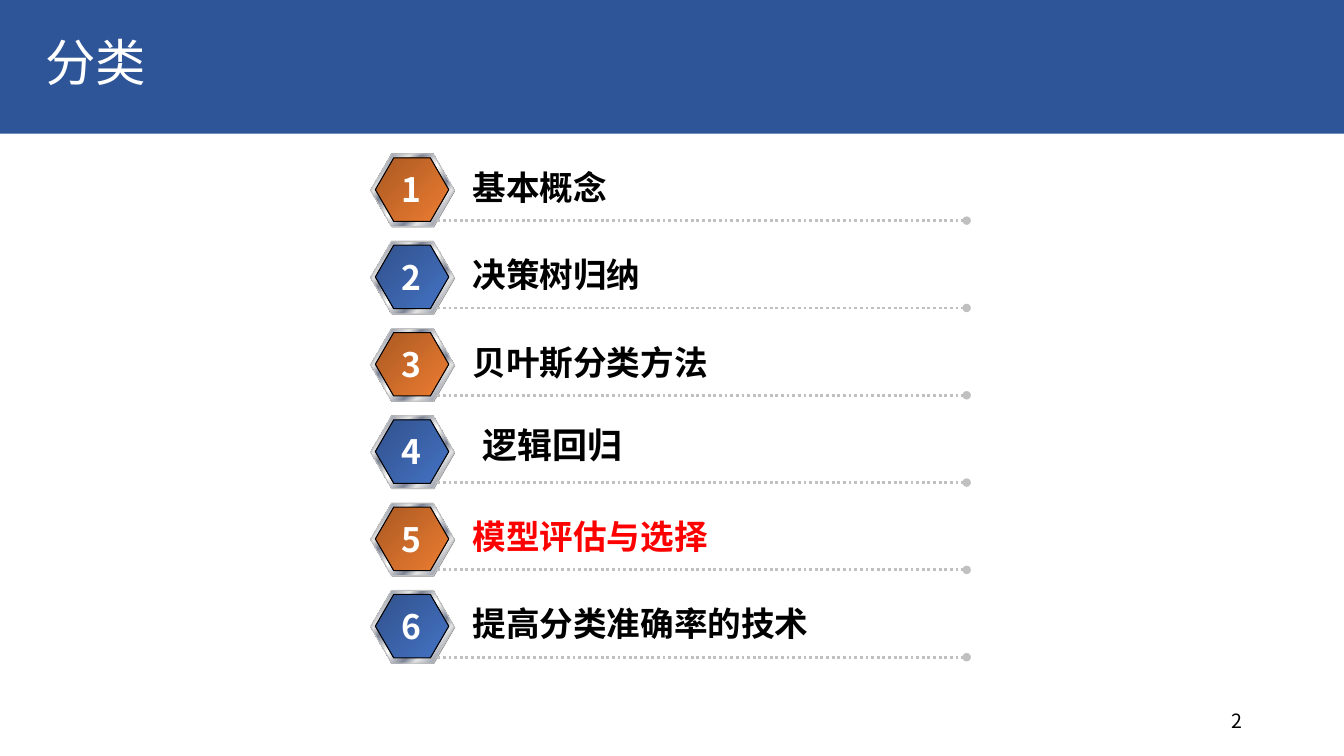
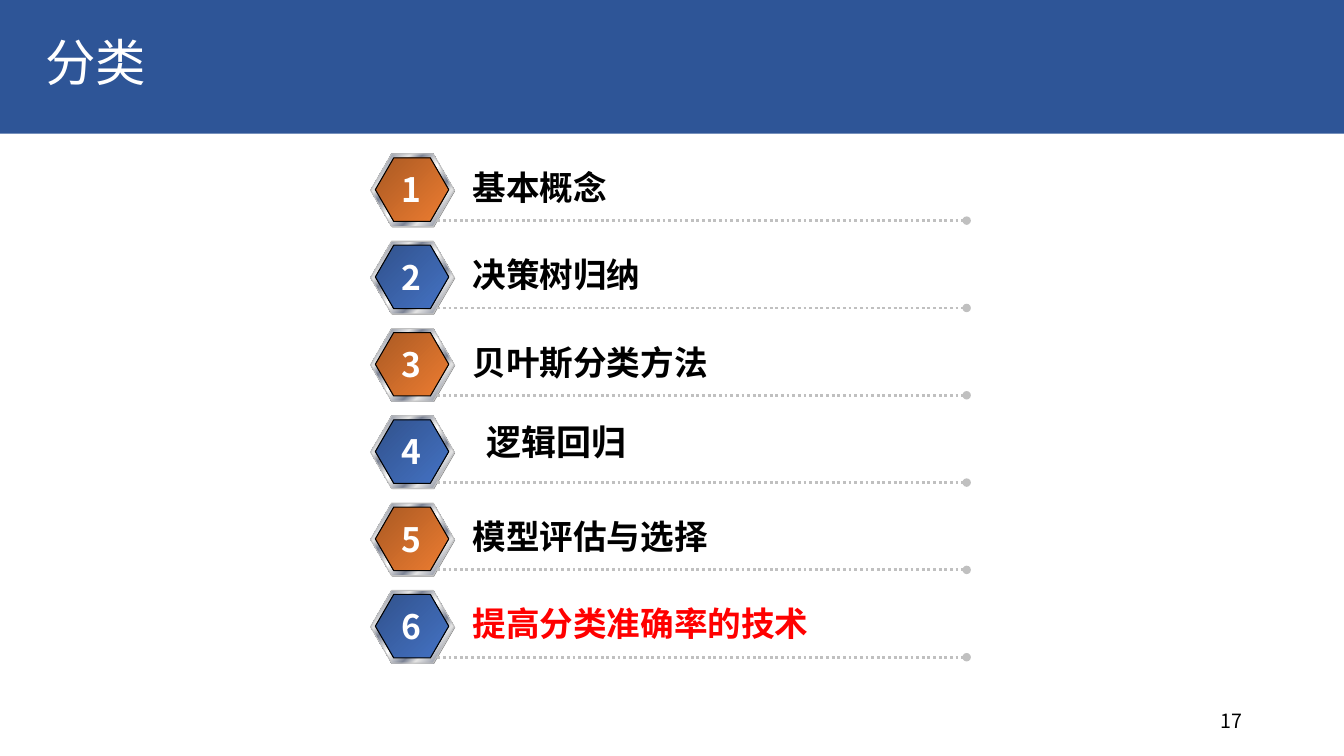
from lxml import etree
from pptx import Presentation
from pptx import util as u
from pptx.dml.color import RGBColor
from pptx.enum import dml, shapes, text
from pptx.oxml import ns

NAVY = RGBColor(0x2E, 0x55, 0x97)
WHITE = RGBColor(0xFF, 0xFF, 0xFF)
BLACK = RGBColor(0, 0, 0)
RED = RGBColor(0xFF, 0, 0)
GRAY = RGBColor(0x80, 0x80, 0x80)
SILVER = RGBColor(0xC0, 0xC0, 0xC0)
PALE = RGBColor(0xE6, 0xE6, 0xE6)
STEEL = RGBColor(0x7D, 0x84, 0x96)
RUST = RGBColor(0xAA, 0x59, 0x23)
ORANGE = RGBColor(0xED, 0x7D, 0x31)
DEEP = RGBColor(0x31, 0x52, 0x8C)
BLUE = RGBColor(0x44, 0x72, 0xC4)

METAL = [(0, PALE), (8, STEEL), (26, PALE), (34, STEEL), (46, PALE), (50, WHITE),
         (54, PALE), (66, STEEL), (74, PALE), (92, STEEL), (100, PALE)]
CORES = [[(0, RUST), (100, ORANGE)], [(0, DEEP), (100, BLUE)]]

SANS = "Noto Sans CJK SC"
TITLE = "分类"
TOPICS = ["基本概念", "决策树归纳", "贝叶斯分类方法", "逻辑回归",
          "模型评估与选择", "提高分类准确率的技术"]
LOOSE = 4
LEFT, TOP, PITCH = 9.34, 3.88, 2.2
PAGES = [("2", 5, (2.57, 0.08)), ("17", 6, (2.67, -0.02))]


def put_text(home, box, words, size, color, face=SANS, bold=False,
             align=text.PP_ALIGN.LEFT, anchor=text.MSO_ANCHOR.TOP, wrap=False):
    frame = home.add_textbox(*map(u.Cm, box)).text_frame
    frame.word_wrap = wrap
    frame.vertical_anchor = anchor
    if not wrap:
        frame.auto_size = text.MSO_AUTO_SIZE.SHAPE_TO_FIT_TEXT
    para = frame.paragraphs[0]
    para.text = words
    para.alignment = align
    font = para.font
    font.name, font.size, font.bold = face, u.Pt(size), bold
    font.color.rgb = color
    return para


def put_shape(home, kind, box, fill, edge=None):
    shape = home.add_shape(kind, *map(u.Cm, box))
    shape.shadow.inherit = False
    if isinstance(fill, RGBColor):
        shape.fill.solid()
        shape.fill.fore_color.rgb = fill
    else:
        blend(shape, fill)
    if edge is None:
        shape.line.fill.background()
    else:
        shape.line.color.rgb = edge
        shape.line.width = u.Pt(0.75)
    return shape


def blend(shape, stops):
    shape.fill.gradient()
    grad = shape.fill._xPr.find(ns.qn("a:gradFill"))
    for child in list(grad):
        grad.remove(child)
    items = etree.SubElement(grad, ns.qn("a:gsLst"))
    for place, color in stops:
        stop = etree.SubElement(items, ns.qn("a:gs"), pos=str(place * 1000))
        etree.SubElement(stop, ns.qn("a:srgbClr"), val=str(color))
    etree.SubElement(grad, ns.qn("a:lin"), ang="2700000", scaled="0")


def put_badge(home, left, top, number):
    plates = [((left + 0.02, top + 0.02, 2.11, 1.83), GRAY, None),
              ((left, top, 2.11, 1.83), METAL, SILVER),
              ((left + 0.12, top + 0.1, 1.85, 1.6), CORES[(number - 1) % 2], BLACK)]
    for box, fill, edge in plates:
        plate = put_shape(home, shapes.MSO_SHAPE.HEXAGON, box, fill, edge)
        plate.adjustments[0] = 0.29


def put_rule(home, left, top, width):
    rule = home.add_connector(shapes.MSO_CONNECTOR.STRAIGHT, u.Cm(left), u.Cm(top),
                              u.Cm(left + width), u.Cm(top))
    rule.line.color.rgb = SILVER
    rule.line.width = u.Pt(2)
    rule.line.dash_style = dml.MSO_LINE.ROUND_DOT
    etree.SubElement(rule.line._get_or_add_ln(), ns.qn("a:tailEnd"), type="oval")
    etree.SubElement(rule._element.spPr, ns.qn("a:effectLst"))


def put_row(slide, left, top, number, topic, color, shift):
    home = slide.shapes.add_group_shape().shapes
    put_badge(home, left, top, number)
    put_rule(home, left + 1.68, top + 1.68, 13.34)
    put_text(home, (left + 0.52, top + 0.26, 0.94, 1.3), str(number), 24, WHITE,
             bold=True, align=text.PP_ALIGN.CENTER)
    if number == LOOSE:
        right, down = shift
        put_text(slide.shapes, (left + right, top + down, 4.06, 1.32), topic, 25, color,
                 face="Times New Roman", bold=True, align=text.PP_ALIGN.JUSTIFY)
    else:
        width = 0.51 + 0.85 * len(topic)
        put_text(home, (left + 2.32, top + 0.2, width, 1.3), topic, 24, color, bold=True)


def put_frame(slide, page):
    home = slide.shapes
    put_shape(home, shapes.MSO_SHAPE.RECTANGLE, (-0.08, -0.03, 34.06, 3.4), NAVY)
    head = put_text(home, (0.89, 0.38, 28.78, 2.54), TITLE, 36, WHITE, face="Arial",
                    anchor=text.MSO_ANCHOR.MIDDLE, wrap=True)
    head.line_spacing = 0.9
    put_text(home, (23.93, 17.65, 7.62, 1.02), page, 14, BLACK,
             align=text.PP_ALIGN.RIGHT, anchor=text.MSO_ANCHOR.MIDDLE, wrap=True)


def put_agenda(deck, page, active, shift):
    slide = deck.slides.add_slide(deck.slide_layouts[6])
    put_frame(slide, page)
    for number, topic in enumerate(TOPICS, 1):
        color = RED if number == active else BLACK
        put_row(slide, LEFT, TOP + PITCH * (number - 1), number, topic, color, shift)


def main():
    deck = Presentation()
    deck.slide_width, deck.slide_height = u.Cm(33.87), u.Cm(19.05)
    for page, active, shift in PAGES:
        put_agenda(deck, page, active, shift)
    deck.save("out.pptx")


if __name__ == "__main__":
    main()
